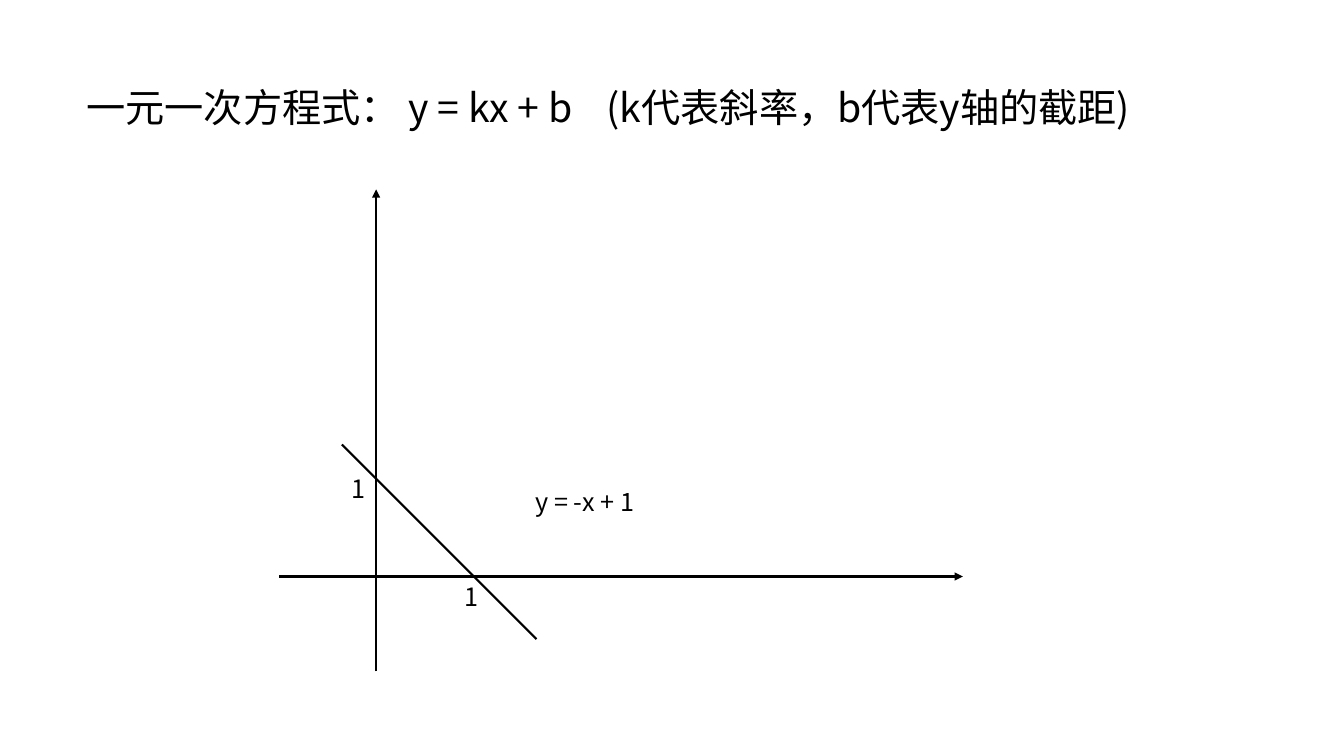
from lxml import etree
from pptx import Presentation
from pptx.dml.color import RGBColor
from pptx.enum.shapes import MSO_CONNECTOR
from pptx.enum.text import MSO_ANCHOR, MSO_AUTO_SIZE
from pptx.oxml.ns import qn
from pptx.util import Inches, Pt

STRAIGHT = MSO_CONNECTOR.STRAIGHT
TOP = MSO_ANCHOR.TOP
GROW = MSO_AUTO_SIZE.SHAPE_TO_FIT_TEXT
FIXED = MSO_AUTO_SIZE.NONE

FONT = "Noto Sans CJK SC"
BLACK = "000000"
WIDE, HIGH = 13.33, 7.5
UNIT = 0.97
ORIGIN = (3.73, 5.72)
SLOPE, CUT = -1, 1

TITLE = "一元一次方程式： y = kx + b\t(k代表斜率，b代表y轴的截距)"
AXES = [((-0.99, 0), (6, 0)), ((0, -0.97), (0, 3.96))]
SPAN = (-0.35, 1.64)
LABELS = [
    ("1", (0.8, 0), 0.34),
    ("1", (-0.35, 1.11), 0.34),
    ("y = -x + 1", (1.53, 0.97), 1.3),
]


def color(code):
    return RGBColor.from_string(code)


def place(point):
    x, y = point
    return ORIGIN[0] + x * UNIT, ORIGIN[1] - y * UNIT


def add_text(slide, text, left, top, width, height, size=18, wrap=False,
             fit=GROW, spacing=None, tab=None):
    box = slide.shapes.add_textbox(*map(Inches, (left, top, width, height)))
    frame = box.text_frame
    frame.word_wrap = wrap
    frame.auto_size = fit
    frame.vertical_anchor = TOP
    para = frame.paragraphs[0]
    if spacing:
        para.line_spacing = spacing
    if tab:
        tabs = etree.SubElement(para._p.get_or_add_pPr(), qn("a:tabLst"))
        etree.SubElement(tabs, qn("a:tab"), pos=str(Inches(tab)), algn="l")
    run = para.add_run()
    run.text = text
    run.font.size = Pt(size)
    run.font.name = FONT
    run.font.color.rgb = color(BLACK)
    etree.SubElement(run._r.get_or_add_rPr(), qn("a:ea"), typeface=FONT)


def add_line(slide, start, end, arrow=False):
    ends = map(Inches, place(start) + place(end))
    line = slide.shapes.add_connector(STRAIGHT, *ends)
    line.line.color.rgb = color(BLACK)
    line.line.width = Pt(1.5)
    if arrow:
        etree.SubElement(line.line._get_or_add_ln(), qn("a:tailEnd"), type="triangle")
    etree.SubElement(line._element.spPr, qn("a:effectLst"))


def main():
    deck = Presentation()
    deck.slide_width, deck.slide_height = Inches(WIDE), Inches(HIGH)
    slide = deck.slides.add_slide(deck.slide_layouts[6])
    add_text(slide, TITLE, 0.76, 0.83, 11.5, 0.58, size=28, wrap=True,
             fit=FIXED, spacing=0.9, tab=5.16)
    for start, end in AXES:
        add_line(slide, start, end, arrow=True)
    add_line(slide, *[(x, SLOPE * x + CUT) for x in SPAN])
    for text, point, width in LABELS:
        add_text(slide, text, *place(point), width, 0.4)
    deck.save("out.pptx")


if __name__ == "__main__":
    main()
